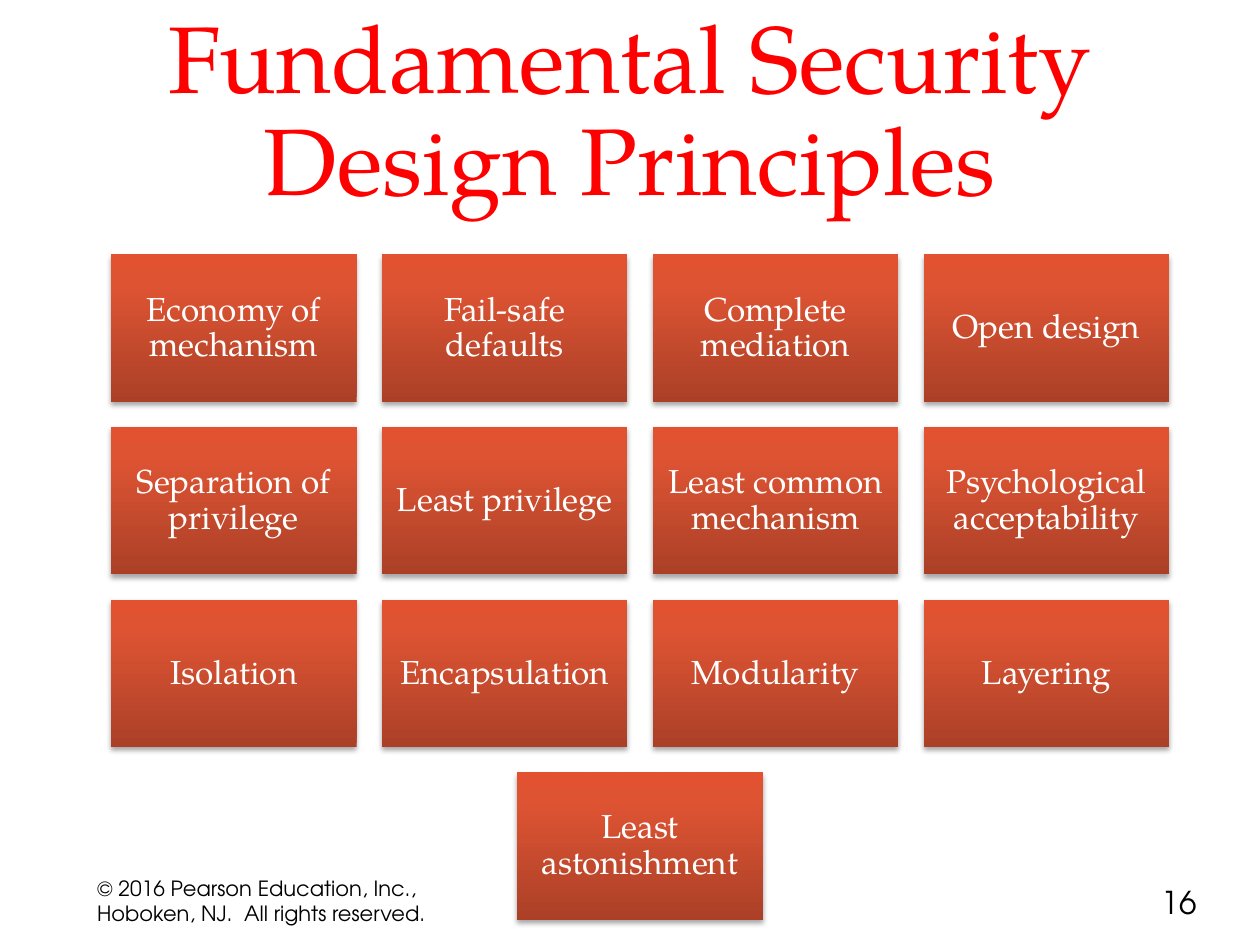
import copy

import pptx
import pptx.dml.color
import pptx.enum.shapes
import pptx.enum.text
import pptx.oxml
import pptx.oxml.ns
import pptx.util

Inches = pptx.util.Inches
Pt = pptx.util.Pt
RGBColor = pptx.dml.color.RGBColor
PP_ALIGN = pptx.enum.text.PP_ALIGN
MSO_ANCHOR = pptx.enum.text.MSO_ANCHOR

RED = RGBColor(0xFF, 0x00, 0x00)
WHITE = RGBColor(0xFF, 0xFF, 0xFF)
BLACK = RGBColor(0x00, 0x00, 0x00)
TILE_GRADIENT = [
    (0, RGBColor(0xAB, 0x40, 0x27)),
    (0.8, RGBColor(0xDE, 0x54, 0x33)),
    (1, RGBColor(0xE3, 0x52, 0x30)),
]
SERIF = "TeX Gyre Pagella"
SANS = "TeX Gyre Adventor"

TILE_SHADOW = (
    f'<a:outerShdw {pptx.oxml.ns.nsdecls("a")} blurRad="{Pt(3.1)}" '
    f'dist="{Pt(1.8)}" dir="5400000" rotWithShape="0">'
    '<a:srgbClr val="000000"><a:alpha val="35000"/></a:srgbClr></a:outerShdw>'
)

PRINCIPLES = [
    ["Economy of mechanism", "Fail-safe defaults", "Complete mediation", "Open design"],
    ["Separation of privilege", "Least privilege", "Least common mechanism",
     "Psychological acceptability"],
    ["Isolation", "Encapsulation", "Modularity", "Layering"],
    ["Least astonishment"],
]
GRID_CENTER, GRID_TOP = 5.08, 2.02
TILE_WIDTH, TILE_HEIGHT = 1.95, 1.17
COLUMN_STEP, ROW_STEP = 2.15, 1.37


class SlideBuilder:
    def __init__(self, slide):
        self.slide = slide

    def set_text(self, shape, text, font, size, color, insets, anchor=MSO_ANCHOR.MIDDLE,
                 align=PP_ALIGN.LEFT, spacing=None):
        frame = shape.text_frame
        frame.word_wrap = True
        frame.vertical_anchor = anchor
        (frame.margin_left, frame.margin_top,
         frame.margin_right, frame.margin_bottom) = map(Inches, insets)
        frame.text = text
        paragraph = frame.paragraphs[0]
        paragraph.alignment = align
        paragraph.line_spacing = spacing
        run = paragraph.runs[0]
        run.font.name = font
        run.font.size = Pt(size)
        run.font.color.rgb = color

    def text(self, box, text, font, size, color, insets, **layout):
        shape = self.slide.shapes.add_textbox(*map(Inches, box))
        self.set_text(shape, text, font, size, color, insets, **layout)

    def tile(self, left, top, principle):
        tile = self.slide.shapes.add_shape(
            pptx.enum.shapes.MSO_SHAPE.RECTANGLE, Inches(left), Inches(top),
            Inches(TILE_WIDTH), Inches(TILE_HEIGHT))
        tile.line.fill.background()
        self.shade(tile.fill)
        tile.shadow.inherit = False
        effects = tile._element.spPr.find(pptx.oxml.ns.qn("a:effectLst"))
        effects.append(pptx.oxml.parse_xml(TILE_SHADOW))
        self.set_text(tile, principle, SERIF, 19, WHITE, [0.08] * 4,
                      align=PP_ALIGN.CENTER, spacing=0.9)

    def shade(self, fill):
        fill.gradient()
        fill.gradient_angle = 90
        last_stop = fill.gradient_stops[-1]._gs
        last_stop.addnext(copy.deepcopy(last_stop))
        for stop, (position, color) in zip(fill.gradient_stops, TILE_GRADIENT):
            stop.position = position
            stop.color.rgb = color


def main():
    presentation = pptx.Presentation()
    presentation.slide_width = Inches(10)
    presentation.slide_height = Inches(7.5)
    builder = SlideBuilder(presentation.slides.add_slide(presentation.slide_layouts[6]))

    builder.text((0.5, 0, 9, 1.75), "Fundamental Security Design Principles",
                 SERIF, 54, RED, (0.1, 0.05, 0.1, 0.05), anchor=MSO_ANCHOR.BOTTOM,
                 align=PP_ALIGN.CENTER, spacing=Pt(58))

    for row, principles in enumerate(PRINCIPLES):
        row_width = (len(principles) - 1) * COLUMN_STEP + TILE_WIDTH
        row_left = GRID_CENTER - row_width / 2
        for column, principle in enumerate(principles):
            builder.tile(row_left + column * COLUMN_STEP, GRID_TOP + row * ROW_STEP,
                         principle)

    builder.text((0.72, 6.95, 3.11, 0.4),
                 "© 2016 Pearson Education, Inc., Hoboken, NJ.  All rights reserved.",
                 SANS, 12, BLACK, (0.05, 0.05, 0.1, 0.05))
    builder.text((9.19, 6.96, 0.62, 0.4), "16", SANS, 18, BLACK,
                 (0.03, 0.05, 0.05, 0.05))

    presentation.save("out.pptx")


if __name__ == "__main__":
    main()
